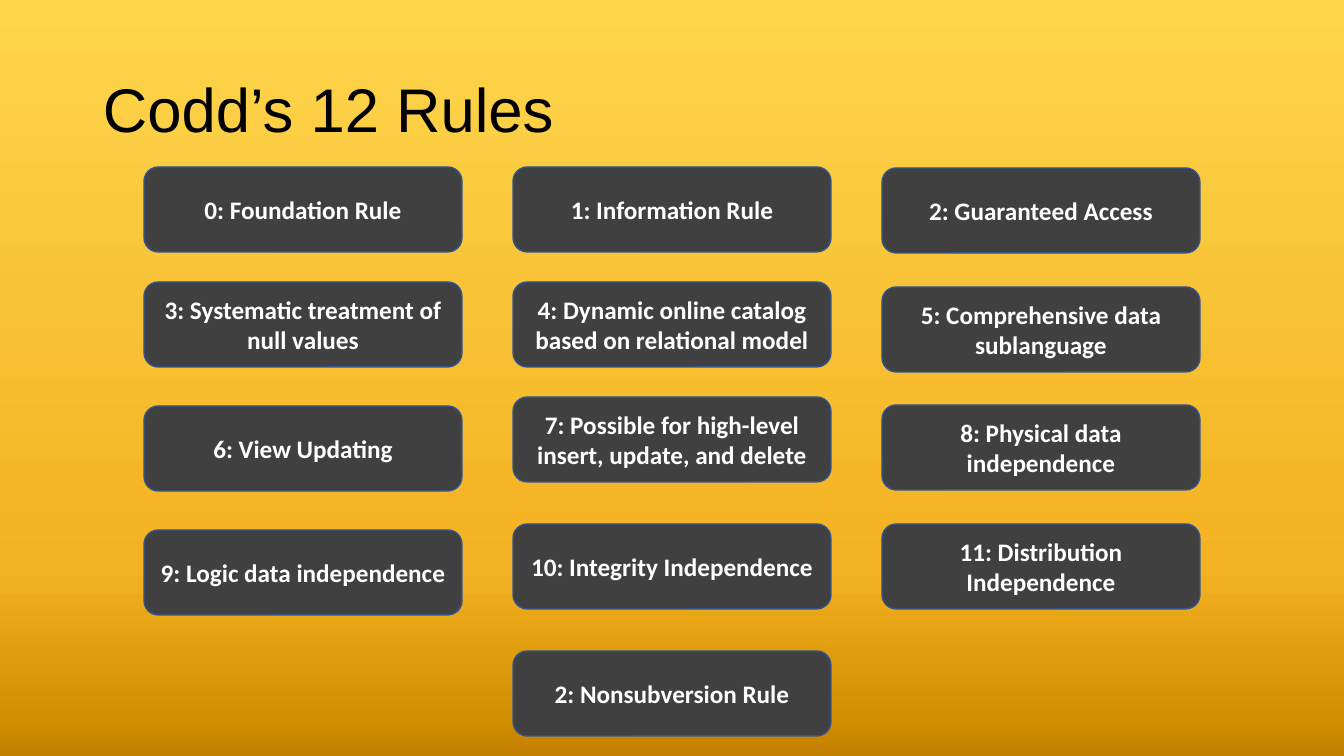
import lxml.etree
import pptx
import pptx.dml.color
import pptx.enum.shapes
import pptx.enum.text
import pptx.oxml.ns
import pptx.util

SLIDE_WIDTH, SLIDE_HEIGHT = 1344, 756
SCALE = 12192000 / SLIDE_WIDTH
COLORS = {
    "title": "000000",
    "card": "404040",
    "card_line": "325491",
    "card_text": "FFFFFF",
    "sky": "FFD64C",
    "amber": "F3B222",
    "ochre": "D28F00",
    "bronze": "C37F00",
}
BACKGROUND_STOPS = [(0, "sky"), (75, "amber"), (95, "ochre"), (100, "bronze")]

CARD_WIDTH, CARD_HEIGHT = 318, 85
COLUMN_PITCH = 369
# Each row holds (rule, column, top within the rules area).
RULE_ROWS = [
    [("0: Foundation Rule", 0, 0),
     ("1: Information Rule", 1, 0),
     ("2: Guaranteed Access", 2, 1)],
    [("3: Systematic treatment of null values", 0, 115),
     ("4: Dynamic online catalog based on relational model", 1, 115),
     ("5: Comprehensive data sublanguage", 2, 120)],
    [("6: View Updating", 0, 239),
     ("7: Possible for high-level insert, update, and delete", 1, 230),
     ("8: Physical data independence", 2, 238)],
    [("9: Logic data independence", 0, 363),
     ("10: Integrity Independence", 1, 357),
     ("11: Distribution Independence", 2, 357)],
    [("2: Nonsubversion Rule", 1, 484)],
]


def px(length):
    return pptx.util.Emu(round(length * SCALE))


def color(name):
    return pptx.dml.color.RGBColor.from_string(COLORS[name])


def paint_background(slide):
    fill = slide.background.fill
    fill.gradient()
    fill.gradient_angle = 270
    qn = pptx.oxml.ns.qn
    stops = slide.element.find(".//" + qn("a:gsLst"))
    for default_stop in list(stops):
        stops.remove(default_stop)
    for percent, name in BACKGROUND_STOPS:
        stop = lxml.etree.SubElement(stops, qn("a:gs"), pos=str(percent * 1000))
        lxml.etree.SubElement(stop, qn("a:srgbClr"), val=COLORS[name])


def write(frame, words, size, font_name, color_name, bold=False):
    """Set the words in the first paragraph, centred vertically, and return it."""
    frame.word_wrap = True
    frame.vertical_anchor = pptx.enum.text.MSO_ANCHOR.MIDDLE
    paragraph = frame.paragraphs[0]
    run = paragraph.add_run()
    run.text = words
    run.font.size = pptx.util.Pt(size)
    run.font.name = font_name
    run.font.bold = bold
    run.font.color.rgb = color(color_name)
    return paragraph


def add_title(slide, left, top, width, height):
    title = slide.shapes.add_textbox(px(left), px(top), px(width), px(height))
    heading = write(title.text_frame, "Codd’s 12 Rules", 44, "Arial", "title")
    heading.line_spacing = 0.9


def add_rule_card(slide, rule, left, top):
    card = slide.shapes.add_shape(
        pptx.enum.shapes.MSO_SHAPE.ROUNDED_RECTANGLE,
        px(left), px(top), px(CARD_WIDTH), px(CARD_HEIGHT))
    card.shadow.inherit = False
    card.fill.solid()
    card.fill.fore_color.rgb = color("card")
    card.line.color.rgb = color("card_line")
    card.line.width = pptx.util.Pt(1)
    label = write(card.text_frame, rule, 18, "Calibri", "card_text", bold=True)
    label.alignment = pptx.enum.text.PP_ALIGN.CENTER


def add_rules(slide, left, top):
    for row in RULE_ROWS:
        for rule, column, offset in row:
            add_rule_card(slide, rule, left + column * COLUMN_PITCH, top + offset)


def main():
    deck = pptx.Presentation()
    deck.slide_width, deck.slide_height = px(SLIDE_WIDTH), px(SLIDE_HEIGHT)
    slide = deck.slides.add_slide(deck.slide_layouts[6])
    paint_background(slide)
    add_title(slide, left=93, top=40, width=1159, height=146)
    add_rules(slide, left=144, top=167)
    deck.save("out.pptx")


if __name__ == "__main__":
    main()
